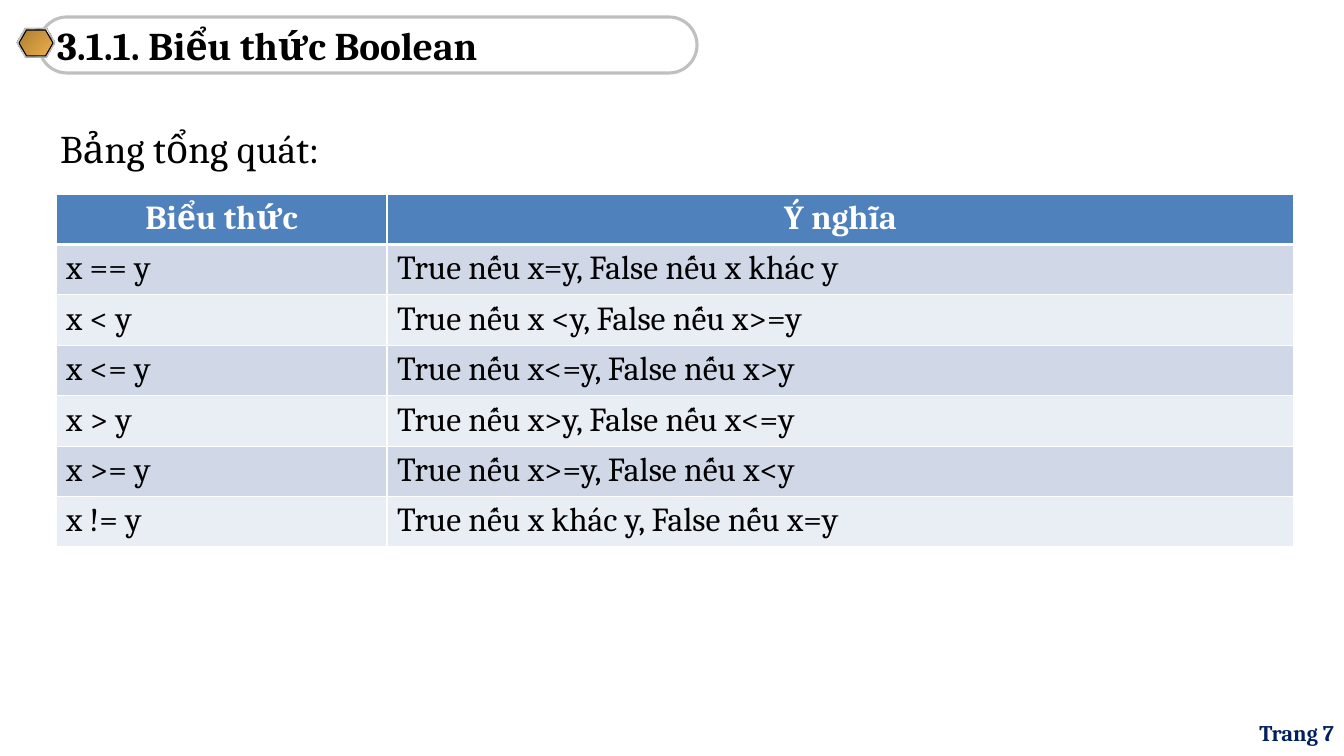
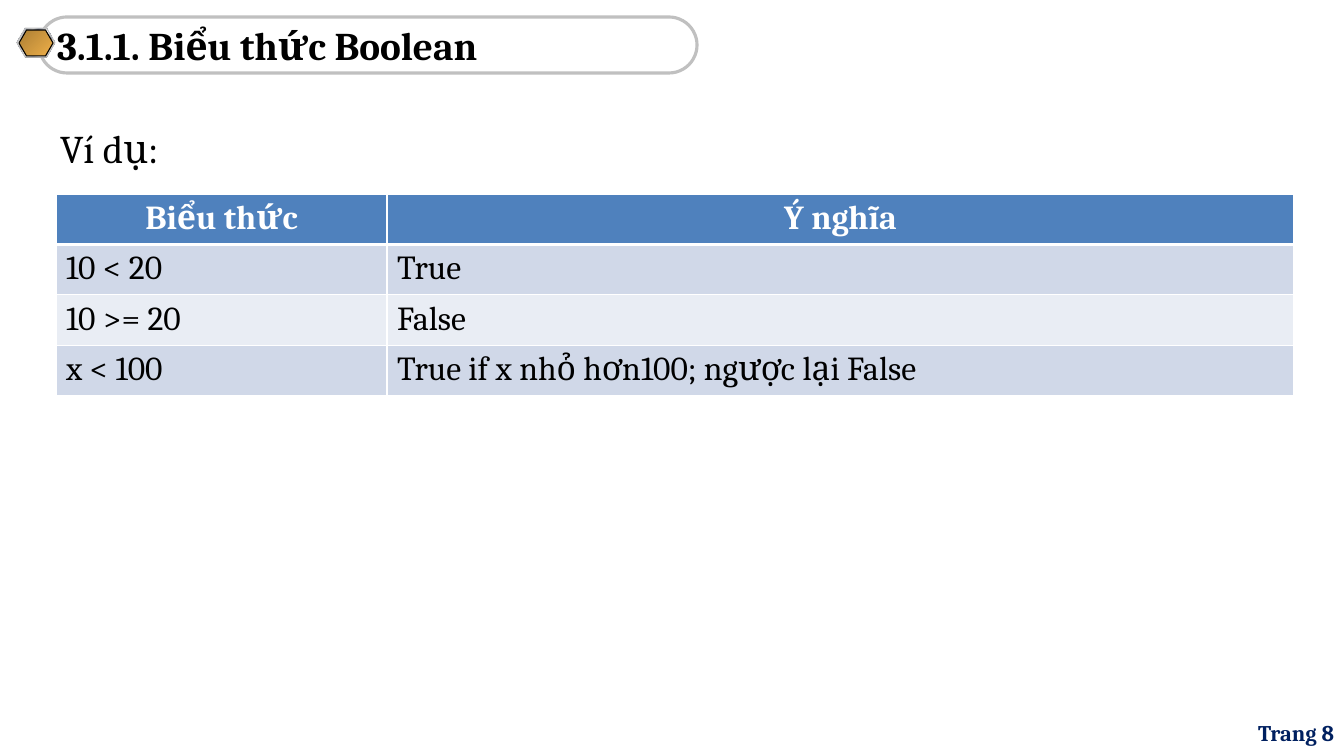
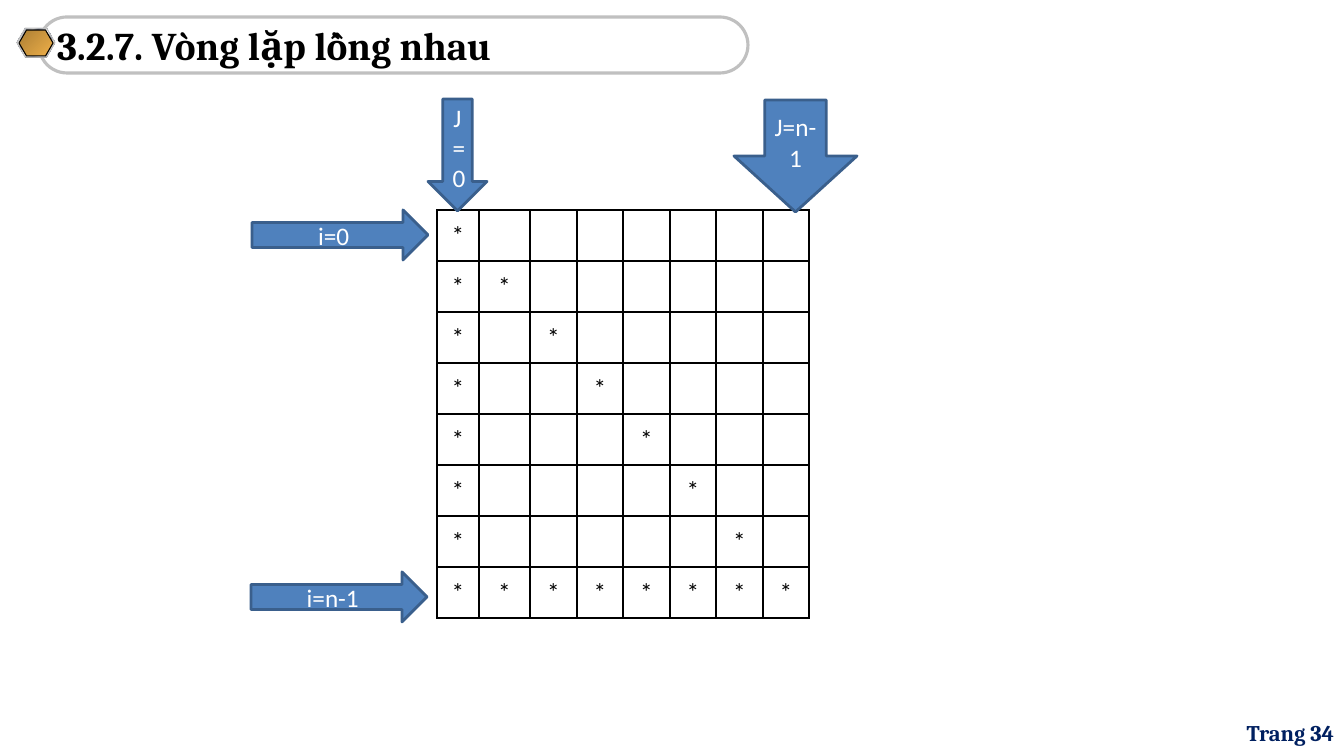
import dataclasses

import pptx
import pptx.dml.color
import pptx.enum.shapes
import pptx.enum.text
import pptx.oxml
import pptx.oxml.ns
import pptx.util

SHAPE = pptx.enum.shapes.MSO_SHAPE
ALIGN = pptx.enum.text.PP_ALIGN
ANCHOR = pptx.enum.text.MSO_ANCHOR
qn = pptx.oxml.ns.qn

SLIDE_W, SLIDE_H = 1344, 756
EMU_PER_PX = 12192000 / SLIDE_W


@dataclasses.dataclass(frozen=True)
class Theme:
    serif: str = "Cambria"
    sans: str = "Calibri"
    heading_size: int = 28
    table_size: int = 24
    label_size: int = 18
    page_size: int = 16
    ink: str = "000000"
    white: str = "FFFFFF"
    navy: str = "002060"
    blue: str = "4F81BD"
    blue_edge: str = "3A5F8C"
    bands: tuple = ("D0D8E8", "E9EDF4")
    silver: str = "C0C0C0"
    shade: str = "808080"
    gold: tuple = ((0, "AB7E34"), (100, "EFB049"))
    chrome: tuple = ((0, "E6E6E6"), (7, "7D8496"), (26, "E6E6E6"), (34, "7D8496"),
                     (46, "E6E6E6"), (50, "FFFFFF"), (54, "E6E6E6"), (66, "7D8496"),
                     (74, "E6E6E6"), (93, "7D8496"), (100, "E6E6E6"))


T = Theme()


def px(n):
    return pptx.util.Emu(round(n * EMU_PER_PX))


def rgb(color):
    return pptx.dml.color.RGBColor.from_string(color)


def place(sp, box):
    sp.left, sp.top, sp.width, sp.height = map(px, box)


def write(tf, text, size, color=T.ink, font=T.serif, bold=False, align=ALIGN.LEFT):
    p = tf.paragraphs[0]
    p.alignment = align
    r = p.add_run()
    r.text = text
    r.font.name, r.font.size, r.font.bold = font, pptx.util.Pt(size), bold
    r.font.color.rgb = rgb(color)
    return p


def set_gradient(fill, sp, stops):
    """Fill sp from top left to bottom right with (percent, colour) stops."""
    fill.gradient()
    fill.gradient_angle = 315
    stop_list = sp._element.spPr.find(qn("a:gradFill")).find(qn("a:gsLst"))
    for old in list(stop_list):
        stop_list.remove(old)
    for percent, color in stops:
        stop_list.append(pptx.oxml.parse_xml(
            f'<a:gs {pptx.oxml.ns.nsdecls("a")} pos="{percent * 1000}">'
            f'<a:srgbClr val="{color}"/></a:gs>'))


def add_shape(s, kind, box, fill=None, line=None, weight=0.75):
    """Add a flat shape; fill is a colour, a tuple of gradient stops or None."""
    sp = s.shapes.add_shape(kind, *map(px, box))
    sp.shadow.inherit = False
    if fill is None:
        sp.fill.background()
    elif isinstance(fill, tuple):
        set_gradient(sp.fill, sp, fill)
    else:
        sp.fill.solid()
        sp.fill.fore_color.rgb = rgb(fill)
    if line is None:
        sp.line.fill.background()
    else:
        sp.line.color.rgb = rgb(line)
        sp.line.width = pptx.util.Pt(weight)
    return sp


def add_title(s, text, box):
    """Title in a rounded outline, with a hexagonal badge on its left end."""
    x, y, w, h = box
    pill = add_shape(s, SHAPE.ROUNDED_RECTANGLE, box, line=T.silver, weight=2.25)
    pill.adjustments[0] = 0.5
    title = s.shapes.title
    place(title, (x + 8, y, w - 16, h))
    title.text_frame.vertical_anchor = ANCHOR.MIDDLE
    write(title.text_frame, text, T.heading_size, bold=True)
    for dx, dy, bw, bh, fill, line in ((-22, 12, 38, 29, T.shade, None),
                                       (-22, 11, 38, 29, T.chrome, T.silver),
                                       (-20, 13, 34, 26, T.gold, T.ink)):
        badge = add_shape(s, SHAPE.HEXAGON, (x + dx, y + dy, bw, bh), fill, line)
        badge.adjustments[0] = 0.289


def add_page_number(s, number, box):
    tf = s.shapes.add_textbox(*map(px, box)).text_frame
    tf.word_wrap = True
    tf.vertical_anchor = ANCHOR.MIDDLE
    write(tf, f"Trang {number}", T.page_size, T.navy, bold=True, align=ALIGN.RIGHT)


def add_lead(s, text, box):
    body = s.placeholders[1]
    place(body, box)
    p = write(body.text_frame, text, T.heading_size)
    pPr = p._p.get_or_add_pPr()
    pPr.set("marL", "0")
    pPr.set("indent", "0")
    pPr.append(pptx.oxml.parse_xml(f'<a:buNone {pptx.oxml.ns.nsdecls("a")}/>'))


def set_borders(cell, color, top=1, bottom=1):
    tcPr = cell._tc.get_or_add_tcPr()
    for side, weight in (("L", 1), ("R", 1), ("T", top), ("B", bottom)):
        tcPr.append(pptx.oxml.parse_xml(
            f'<a:ln{side} {pptx.oxml.ns.nsdecls("a")} w="{weight * 12700}">'
            f'<a:solidFill><a:srgbClr val="{color}"/></a:solidFill></a:ln{side}>'))


def add_table(s, left, top, widths, row_h, n_rows, header):
    frame = s.shapes.add_table(n_rows, len(widths), px(left), px(top),
                               px(sum(widths)), px(row_h * n_rows))
    table = frame.table
    table.first_row, table.horz_banding = header, False
    for column, w in zip(table.columns, widths):
        column.width = px(w)
    for row in table.rows:
        row.height = px(row_h)
    return table


def add_expression_table(s, rows, left, top):
    rows = [("Biểu thức", "Ý nghĩa")] + rows
    table = add_table(s, left, top, (331, 907), 50, len(rows), header=True)
    for i, row in enumerate(rows):
        head = i == 0
        for j, text in enumerate(row):
            cell = table.cell(i, j)
            set_borders(cell, T.white, top=3 if i == 1 else 1, bottom=3 if head else 1)
            cell.fill.solid()
            cell.fill.fore_color.rgb = rgb(T.blue if head else T.bands[(i - 1) % 2])
            write(cell.text_frame, text, T.table_size, T.white if head else T.ink,
                  bold=head, align=ALIGN.CENTER if head else ALIGN.LEFT)


def add_star_grid(s, left, top, n=8):
    """Stars on the first column, the diagonal and the last row."""
    widths = [42, 51] + [47, 46] * 3
    table = add_table(s, left, top, widths, 51, n, header=False)
    for i in range(n):
        for j in range(n):
            cell = table.cell(i, j)
            set_borders(cell, T.ink)
            cell.fill.background()
            cell.vertical_anchor = ANCHOR.MIDDLE
            if j in (0, i) or i == n - 1:
                write(cell.text_frame, "*", T.label_size, font=T.sans, align=ALIGN.CENTER)


def add_arrow(s, kind, text, box):
    sp = add_shape(s, kind, box, T.blue, T.blue_edge, 2)
    sp.text_frame.word_wrap = True
    sp.text_frame.vertical_anchor = ANCHOR.MIDDLE
    write(sp.text_frame, text, T.label_size, T.white, T.sans, align=ALIGN.CENTER)


def new_slide(prs, layout, title, number, title_w):
    s = prs.slides.add_slide(prs.slide_layouts[layout])
    add_title(s, title, (39, 17, title_w, 56))
    add_page_number(s, number, (1030, 713, 314, 40))
    return s


def expression_slide(prs, number, lead, rows):
    s = new_slide(prs, 1, "3.1.1. Biểu thức Boolean", number, 658)
    add_lead(s, lead, (50, 119, 1260, 579))
    add_expression_table(s, rows, 56, 194)


def nested_loop_slide(prs, number):
    s = new_slide(prs, 5, "3.2.7. Vòng lặp lồng nhau", number, 709)
    left, top = 437, 210
    add_star_grid(s, left, top)
    for kind, text, dx, dy, w, h in (
            (SHAPE.RIGHT_ARROW, "i=0", -185, 0, 176, 50),
            (SHAPE.RIGHT_ARROW, "i=n-1", -186, 362, 176, 50),
            (SHAPE.DOWN_ARROW, "J=0", -9, -111, 59, 112),
            (SHAPE.DOWN_ARROW, "J=n-1", 297, -110, 123, 112)):
        add_arrow(s, kind, text, (left + dx, top + dy, w, h))


def main():
    prs = pptx.Presentation()
    prs.slide_width, prs.slide_height = px(SLIDE_W), px(SLIDE_H)
    expression_slide(prs, 7, "Bảng tổng quát:", [
        ("x == y", "True nếu x=y, False nếu x khác y"),
        ("x < y", "True nếu x <y, False nếu x>=y"),
        ("x <= y", "True nếu x<=y, False nếu x>y"),
        ("x > y", "True nếu x>y, False nếu x<=y"),
        ("x >= y", "True nếu x>=y, False nếu x<y"),
        ("x != y", "True nếu x khác y, False nếu x=y"),
    ])
    expression_slide(prs, 8, "Ví dụ:", [
        ("10 < 20", "True"),
        ("10 >= 20", "False"),
        ("x < 100", "True if x nhỏ hơn100; ngược lại False"),
    ])
    nested_loop_slide(prs, 34)
    prs.save("out.pptx")


if __name__ == "__main__":
    main()
